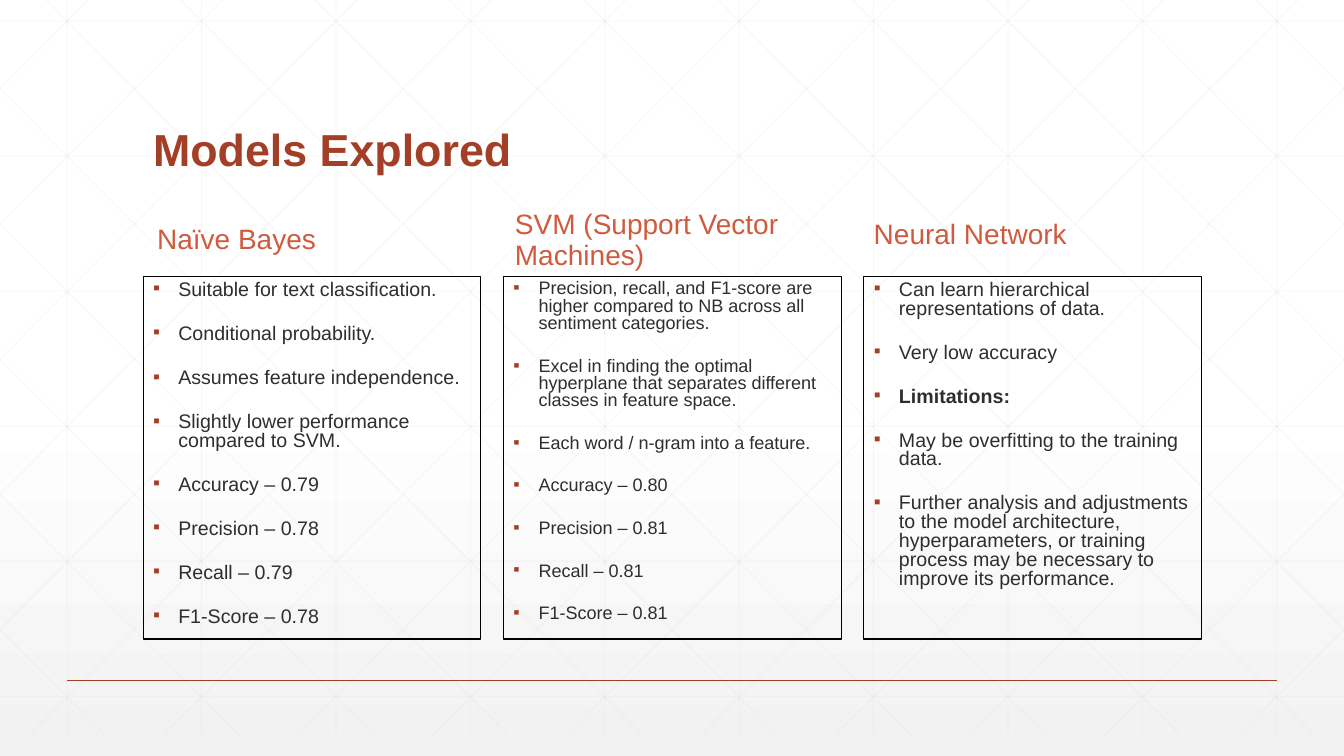
import pptx
import pptx.util
import pptx.dml.color
import pptx.enum.dml
import pptx.enum.shapes
import pptx.enum.text
import pptx.oxml
import pptx.oxml.ns
from lxml import etree

# Content: heading, heading left and top, body size, points
TITLE = "Models Explored"
MODELS = [
    ("Naïve Bayes", 105.1, 146.9, 14, [
        "Suitable for text classification.",
        "Conditional probability.",
        "Assumes feature independence.",
        "Slightly lower performance compared to SVM.",
        "Accuracy – 0.79",
        "Precision – 0.78",
        "Recall – 0.79",
        "F1-Score – 0.78",
    ]),
    ("SVM (Support Vector Machines)", 360.7, 146.9, 12.9, [
        "Precision, recall, and F1-score are higher compared to NB across all "
        "sentiment categories.",
        "Excel in finding the optimal hyperplane that separates different "
        "classes in feature space.",
        "Each word / n-gram into a feature.",
        "Accuracy – 0.80",
        "Precision – 0.81",
        "Recall – 0.81",
        "F1-Score – 0.81",
    ]),
    ("Neural Network", 617, 143.3, 14, [
        "Can learn hierarchical representations of data.",
        "Very low accuracy",
        "Limitations:",
        "May be overfitting to the training data.",
        "Further analysis and adjustments to the model architecture, "
        "hyperparameters, or training process may be necessary to improve "
        "its performance.",
    ]),
]
BOLD = {"Limitations:"}

THEME = dict(font="Arial", title=32, head=20, rust="A43F27", coral="D15A3E",
             ink="2D2E2D", grid="D9D9D9", edge="000000",
             white="FFFFFF", fade="F2F2F2")
WIDE, HIGH = 960, 540
TOP, BASE = -15, 525      # vertical span of the grid
STEP, ROW = 96, 96.48     # grid pitch across and down
RUN = 537                 # sideways travel of a full diagonal

Pt = pptx.util.Pt
MID = pptx.enum.text.MSO_ANCHOR.MIDDLE
LOW = pptx.enum.text.MSO_ANCHOR.BOTTOM
HIGHEST = pptx.enum.text.MSO_ANCHOR.TOP


def paint(name):
    return pptx.dml.color.RGBColor.from_string(THEME[name])


def add_line(shapes, x1, y1, x2, y2, color, width, alpha=None):
    line = shapes.add_connector(pptx.enum.shapes.MSO_CONNECTOR.STRAIGHT,
                                Pt(x1), Pt(y1), Pt(x2), Pt(y2))
    line.line.color.rgb = paint(color)
    line.line.width = Pt(width)
    props = line._element.spPr
    if alpha:
        tint = props.find(".//" + pptx.oxml.ns.qn("a:srgbClr"))
        etree.SubElement(tint, pptx.oxml.ns.qn("a:alpha"), val=str(alpha * 1000))
    etree.SubElement(props, pptx.oxml.ns.qn("a:effectLst"))


def add_bullet(para):
    props = para._p.get_or_add_pPr()
    props.set("marL", str(Pt(18)))
    props.set("indent", str(-Pt(18)))
    tint = etree.SubElement(props, pptx.oxml.ns.qn("a:buClr"))
    etree.SubElement(tint, pptx.oxml.ns.qn("a:srgbClr"), val=THEME["rust"])
    etree.SubElement(props, pptx.oxml.ns.qn("a:buFont"), typeface=THEME["font"])
    etree.SubElement(props, pptx.oxml.ns.qn("a:buChar"), char="▪")


def add_text(shapes, lines, left, top, width, height, size, color,
             anchor=MID, bold=False, space=0.9, gap=0, bullet=False, edge=None):
    place = Pt(left), Pt(top), Pt(width), Pt(height)
    if edge:
        box = shapes.add_shape(pptx.enum.shapes.MSO_SHAPE.RECTANGLE, *place)
        box.shadow.inherit = False
        box.fill.background()
        box.line.color.rgb = paint(edge)
        box.line.width = Pt(0.75)
    else:
        box = shapes.add_textbox(*place)
    frame = box.text_frame
    frame.word_wrap = True
    frame.vertical_anchor = anchor
    for i, text in enumerate(lines):
        para = frame.add_paragraph() if i else frame.paragraphs[0]
        para.alignment = pptx.enum.text.PP_ALIGN.LEFT
        para.line_spacing = space
        para.space_before = Pt(gap if i else 0)
        if bullet:
            add_bullet(para)
        run = para.add_run()
        run.text = text
        run.font.name = THEME["font"]
        run.font.size = Pt(size)
        run.font.bold = bold or text in BOLD
        run.font.color.rgb = paint(color)


def add_grid(shapes):
    ends = [(48 + STEP * i, TOP, 48 + STEP * i, BASE) for i in range(10)]
    ends += [(0, 15 + ROW * i, WIDE, 15 + ROW * i) for i in range(6)]
    # Diagonals are cut at the slide sides, then mirrored
    slope = (BASE - TOP) / RUN
    for i in range(-5, 10):
        start = 18 + STEP * i
        x1, x2 = max(start, 0), min(start + RUN, WIDE)
        y1, y2 = (TOP + (x - start) * slope for x in (x1, x2))
        ends += [(x1, y1, x2, y2), (WIDE - x1, y1, WIDE - x2, y2)]
    for end in ends:
        add_line(shapes, *end, "grid", 0.5, alpha=25)


def main():
    deck = pptx.Presentation()
    deck.slide_width, deck.slide_height = Pt(WIDE), Pt(HIGH)
    slide = deck.slides.add_slide(deck.slide_layouts[6])
    shapes = slide.shapes

    # Background
    fill = slide.background.fill
    fill.gradient()
    fill.gradient_angle = 270
    for stop, at, name in zip(fill.gradient_stops, (0.53, 1), ("white", "fade")):
        stop.position = at
        stop.color.rgb = paint(name)
    add_grid(shapes)
    add_line(shapes, 48, 486, 912, 486, "rust", 1)

    # Title and columns
    add_text(shapes, [TITLE], 102.24, 39.6, 756, 90, THEME["title"], "rust",
             anchor=LOW, bold=True)
    for i, (head, left, top, size, points) in enumerate(MODELS):
        add_text(shapes, [head], left, top, 241.2, 50.4, THEME["head"], "coral")
        add_text(shapes, points, 102.24 + 257.4 * i, 197.3, 241.2, 259.2, size,
                 "ink", anchor=HIGHEST, space=0.8, gap=18, bullet=True,
                 edge="edge")
    deck.save("out.pptx")


if __name__ == "__main__":
    main()
